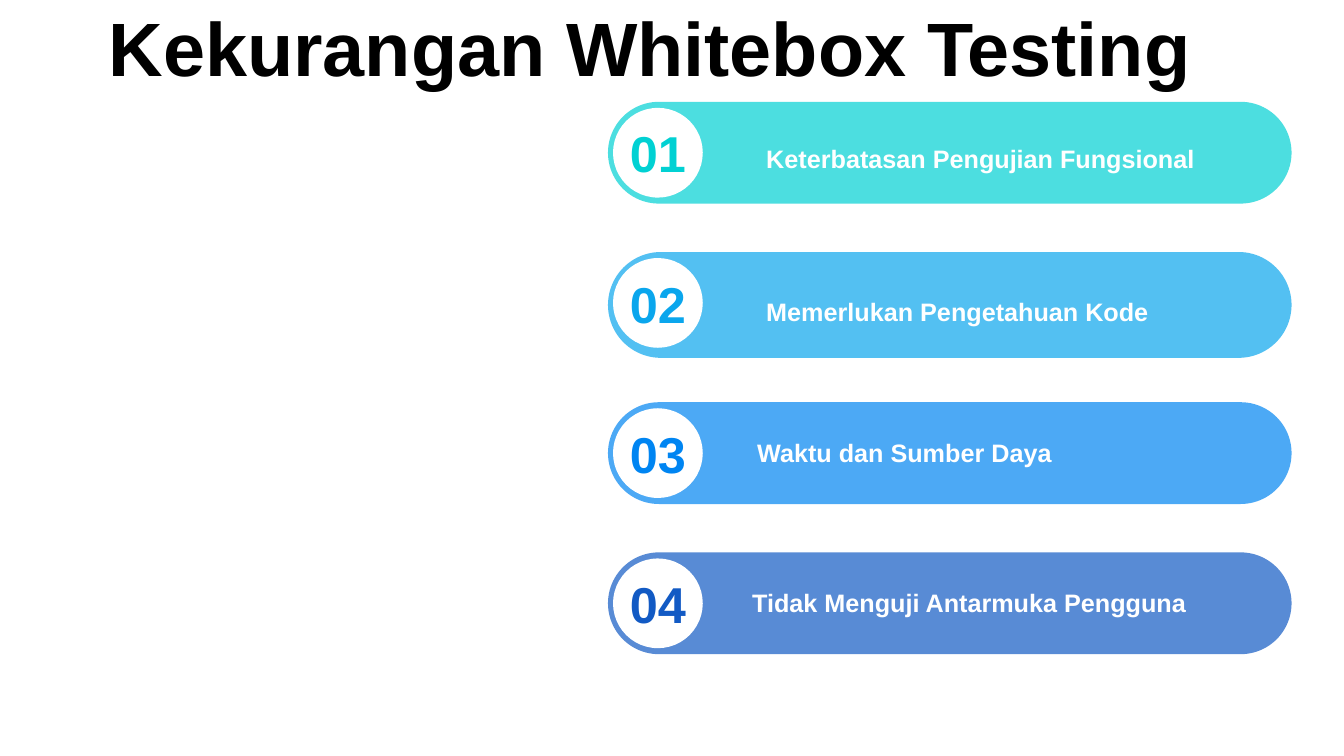
from lxml import etree
from pptx import Presentation
from pptx.dml.color import RGBColor
from pptx.enum.shapes import MSO_SHAPE
from pptx.enum.text import MSO_ANCHOR, PP_ALIGN
from pptx.oxml.ns import qn
from pptx.util import Inches, Pt

PILL = MSO_SHAPE.ROUNDED_RECTANGLE
DISC = MSO_SHAPE.OVAL
TOP, MID = MSO_ANCHOR.TOP, MSO_ANCHOR.MIDDLE
LEFT, MIDDLE = PP_ALIGN.LEFT, PP_ALIGN.CENTER

FONT = "Arial"
WIDE, HIGH = 13.33, 7.5
COLORS = {
    "ink": "000000",
    "white": "FFFFFF",
    "teal": "01D1D3",
    "sky": "0AA6ED",
    "blue": "0085F2",
    "navy": "125AC4",
}
ROWS = [
    ("Keterbatasan Pengujian Fungsional", "teal", 1.01, 1.45, 0.36),
    ("Memerlukan Pengetahuan Kode", "sky", 1.05, 1.45, 0.39),
    ("Waktu dan Sumber Daya", "blue", 1.01, 1.36, 0.3),
    ("Tidak Menguji Antarmuka Pengguna", "navy", 1.01, 1.31, 0.3),
]
LIST_BOX = (6.03, 1.01, 6.78)
STEP = 1.49


def add_form(shapes, kind, box, color, alpha=None):
    form = shapes.add_shape(kind, *map(Inches, box))
    form.shadow.inherit = False
    form.line.fill.background()
    form.fill.solid()
    form.fill.fore_color.rgb = RGBColor.from_string(COLORS[color])
    if alpha:
        tint = form.fill._xPr.find(".//" + qn("a:srgbClr"))
        etree.SubElement(tint, qn("a:alpha"), val=str(alpha * 1000))
    return form


def add_text(shapes, box, text, size, color, anchor=TOP, align=LEFT, inset=0.12):
    frame = shapes.add_textbox(*map(Inches, box)).text_frame
    frame.word_wrap = True
    frame.vertical_anchor = anchor
    frame.margin_left = frame.margin_right = Inches(inset)
    frame.text = text
    line = frame.paragraphs[0]
    line.alignment = align
    font = line.runs[0].font
    font.name, font.size, font.bold = FONT, Pt(size), True
    font.color.rgb = RGBColor.from_string(COLORS[color])


def add_row(slide, box, number, text, color, dx, dy):
    left, top, width, height = box
    shapes = slide.shapes.add_group_shape().shapes
    pill = add_form(shapes, PILL, box, color, 70)
    pill.adjustments[0] = 0.5
    add_form(shapes, DISC, (left + 0.05, top + 0.06, 0.89, 0.89), "white")
    add_text(shapes, (left + dx, top + dy, width * 0.75, 0.4), text, 18, "white")
    add_text(shapes, (left - 0.04, top + 0.15, 1.07, 0.71),
             f"{number:02}", 36, color, MID, MIDDLE)


def add_list(slide, box):
    left, top, width = box
    for index, (text, color, height, dx, dy) in enumerate(ROWS):
        place = (left, top + index * STEP, width, height)
        add_row(slide, place, index + 1, text, color, dx, dy)


def add_title(slide, box):
    add_text(slide.shapes, box, "Kekurangan Whitebox Testing", 54, "ink", MID, inset=0.1)


def main():
    deck = Presentation()
    deck.slide_width, deck.slide_height = Inches(WIDE), Inches(HIGH)
    slide = deck.slides.add_slide(deck.slide_layouts[6])
    add_title(slide, (0.98, -0.05, WIDE * 0.86, 1.01))
    add_list(slide, LIST_BOX)
    deck.save("out.pptx")


if __name__ == "__main__":
    main()
